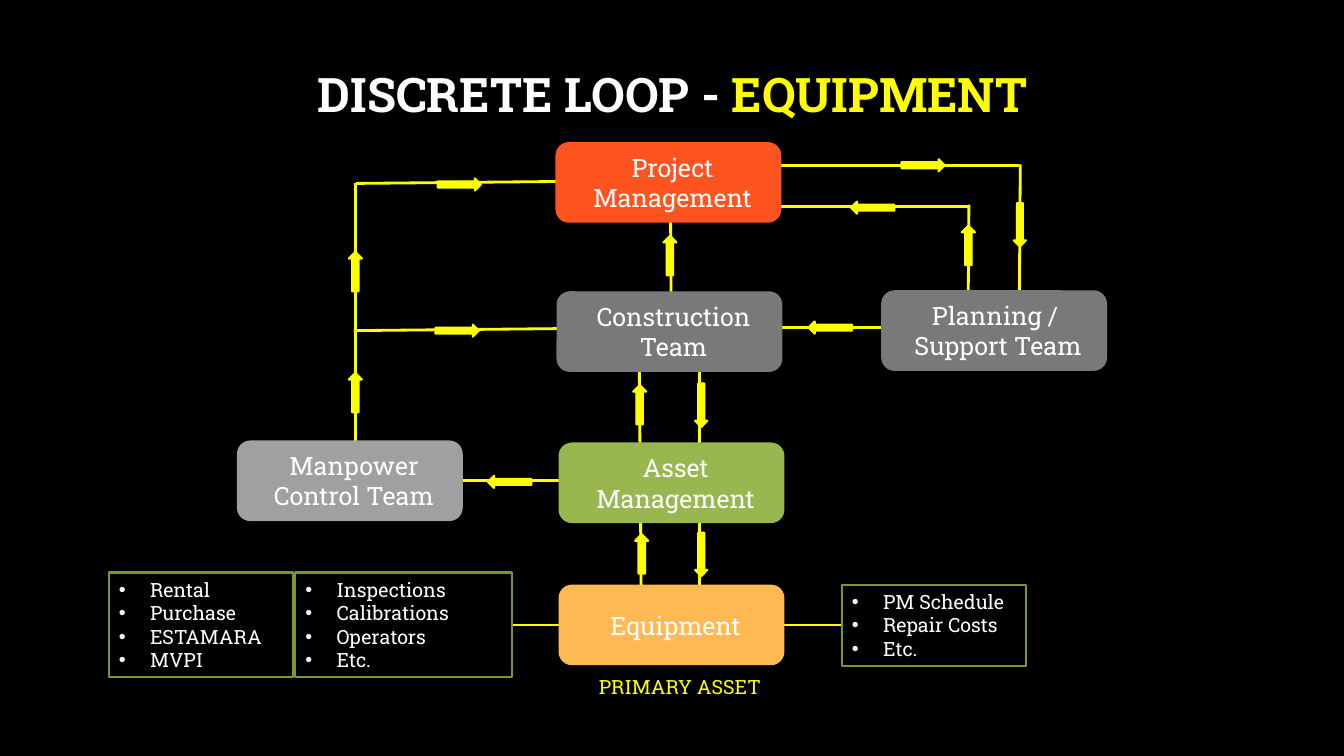
from collections import namedtuple
from lxml.etree import SubElement
from pptx import Presentation
from pptx.dml.color import RGBColor
from pptx.enum.shapes import MSO_CONNECTOR, MSO_SHAPE
from pptx.enum.text import MSO_ANCHOR, PP_ALIGN
from pptx.oxml.ns import qn
from pptx.util import Pt

Theme = namedtuple("Theme", "font back text wire frame red gray pale green gold head body small line edge")
theme = Theme("Roboto Slab", "000000", "FFFFFF", "FFFF00", "78982F",
              "FF5320", "797979", "A0A0A0", "98B84F", "FFB953", 34, 18, 14, 2, 1.5)

TITLE = [("DISCRETE LOOP - ", theme.text), ("EQUIPMENT", theme.wire)]
LABEL = [("PRIMARY ASSET", theme.wire)]
TEAMS = [
    (["Project Management"], 551, 141, theme.red),
    (["Construction Team"], 552, 289, theme.gray),
    (["Asset Management"], 554, 439, theme.green),
    (["Equipment"], 554, 580, theme.gold),
    (["Planning / ", "Support Team"], 874, 288, theme.gray),
    (["Manpower Control Team"], 235, 437, theme.pale),
]
LISTS = [
    (["Rental", "Purchase", "ESTAMARA", "MVPI"], 108, 568, 183, 104),
    (["Inspections", "Calibrations", "Operators", "Etc."], 293, 568, 215, 104),
    (["PM Schedule", "Repair Costs", "Etc."], 835, 580, 183, 81),
]
WIRES = [
    (353, 182, 557, 180), (351, 328, 555, 326), (448, 477, 567, 477),
    (765, 325, 884, 325), (651, 205, 960, 205), (961, 203, 960, 335),
    (702, 164, 1011, 164), (507, 620, 835, 620), (694, 353, 694, 601),
    (1012, 163, 1011, 295), (634, 354, 636, 597), (665, 207, 666, 350),
    (353, 182, 353, 516),
]
ARROWS = {
    "right": [(453, 328), (456, 183), (915, 164)],
    "left": [(824, 325), (865, 206), (505, 478)],
    "down": [(695, 402), (1011, 223), (695, 550)],
    "up": [(635, 401), (665, 254), (960, 243), (352, 269), (352, 389), (636, 550)],
}
FORMS = {
    "right": (MSO_SHAPE.RIGHT_ARROW, 43, 12, 0),
    "left": (MSO_SHAPE.RIGHT_ARROW, 43, 12, 180),
    "down": (MSO_SHAPE.RIGHT_ARROW, 43, 12, 90),
    "up": (MSO_SHAPE.UP_ARROW, 13, 39, 0),
}
TEAM_W, TEAM_H = 224, 80
PAD, SHIFT, INDENT = 10, 8, 31


def px(size):
    return size * 9144


def rgb(color):
    return RGBColor.from_string(color)


def add_run(para, text, size, color, bold=False):
    run = para.add_run()
    run.text = text
    font = run.font
    font.name, font.size, font.bold = theme.font, Pt(size), bold
    font.color.rgb = rgb(color)


def add_lines(frame, lines, size, align):
    for i, line in enumerate(lines):
        para = frame.paragraphs[0] if i == 0 else frame.add_paragraph()
        para.alignment = align
        add_run(para, line, size, theme.text)


def add_text(slide, runs, box, size, bold, align, anchor):
    frame = slide.shapes.add_textbox(*map(px, box)).text_frame
    frame.word_wrap = True
    frame.vertical_anchor = anchor
    para = frame.paragraphs[0]
    para.alignment = align
    para.line_spacing = 0.9 if bold else 1.0
    for text, color in runs:
        add_run(para, text, size, color, bold)


def add_form(slide, kind, box, fill=None, line=None):
    shape = slide.shapes.add_shape(kind, *map(px, box))
    shape.shadow.inherit = False
    if fill:
        shape.fill.solid()
        shape.fill.fore_color.rgb = rgb(fill)
    else:
        shape.fill.background()
    if line:
        shape.line.color.rgb = rgb(line)
        shape.line.width = Pt(theme.edge)
    else:
        shape.line.fill.background()
    return shape


def add_wire(slide, ends):
    wire = slide.shapes.add_connector(MSO_CONNECTOR.STRAIGHT, *map(px, ends))
    wire.line.color.rgb = rgb(theme.wire)
    wire.line.width = Pt(theme.line)
    SubElement(wire.element.spPr, qn("a:effectLst"))


def add_team(slide, lines, left, top, fill):
    box = left, top, TEAM_W, TEAM_H
    frame = add_form(slide, MSO_SHAPE.FLOWCHART_ALTERNATE_PROCESS, box, fill).text_frame
    frame.word_wrap = True
    frame.margin_left = px(PAD + SHIFT)
    frame.vertical_anchor = MSO_ANCHOR.MIDDLE
    add_lines(frame, lines, theme.body, PP_ALIGN.CENTER)


def add_list(slide, lines, *box):
    frame = add_form(slide, MSO_SHAPE.RECTANGLE, box, line=theme.frame).text_frame
    frame.word_wrap = True
    frame.vertical_anchor = MSO_ANCHOR.TOP
    add_lines(frame, lines, theme.small, PP_ALIGN.LEFT)
    for para in frame.paragraphs:
        props = para._p.get_or_add_pPr()
        props.set("marL", str(px(INDENT)))
        props.set("indent", str(px(-INDENT)))
        SubElement(props, qn("a:buFont"), typeface="Arial")
        SubElement(props, qn("a:buChar"), char="•")


def add_arrow(slide, way, mid_x, mid_y):
    kind, wide, high, turn = FORMS[way]
    box = mid_x - wide / 2, mid_y - high / 2, wide, high
    shape = add_form(slide, kind, [round(n) for n in box], theme.wire, theme.wire)
    shape.rotation = turn


def main():
    deck = Presentation()
    deck.slide_width, deck.slide_height = px(1333), px(750)
    slide = deck.slides.add_slide(deck.slide_layouts[6])
    slide.background.fill.solid()
    slide.background.fill.fore_color.rgb = rgb(theme.back)
    for ends in WIRES:
        add_wire(slide, ends)
    add_text(slide, TITLE, (101, 24, 1132, 145), theme.head, True,
             PP_ALIGN.CENTER, MSO_ANCHOR.MIDDLE)
    for team in TEAMS:
        add_team(slide, *team)
    add_text(slide, LABEL, (584, 665, 221, 34), theme.small, False,
             PP_ALIGN.LEFT, MSO_ANCHOR.TOP)
    for entry in LISTS:
        add_list(slide, *entry)
    for way, spots in ARROWS.items():
        for spot in spots:
            add_arrow(slide, way, *spot)
    deck.save("out.pptx")


if __name__ == "__main__":
    main()
